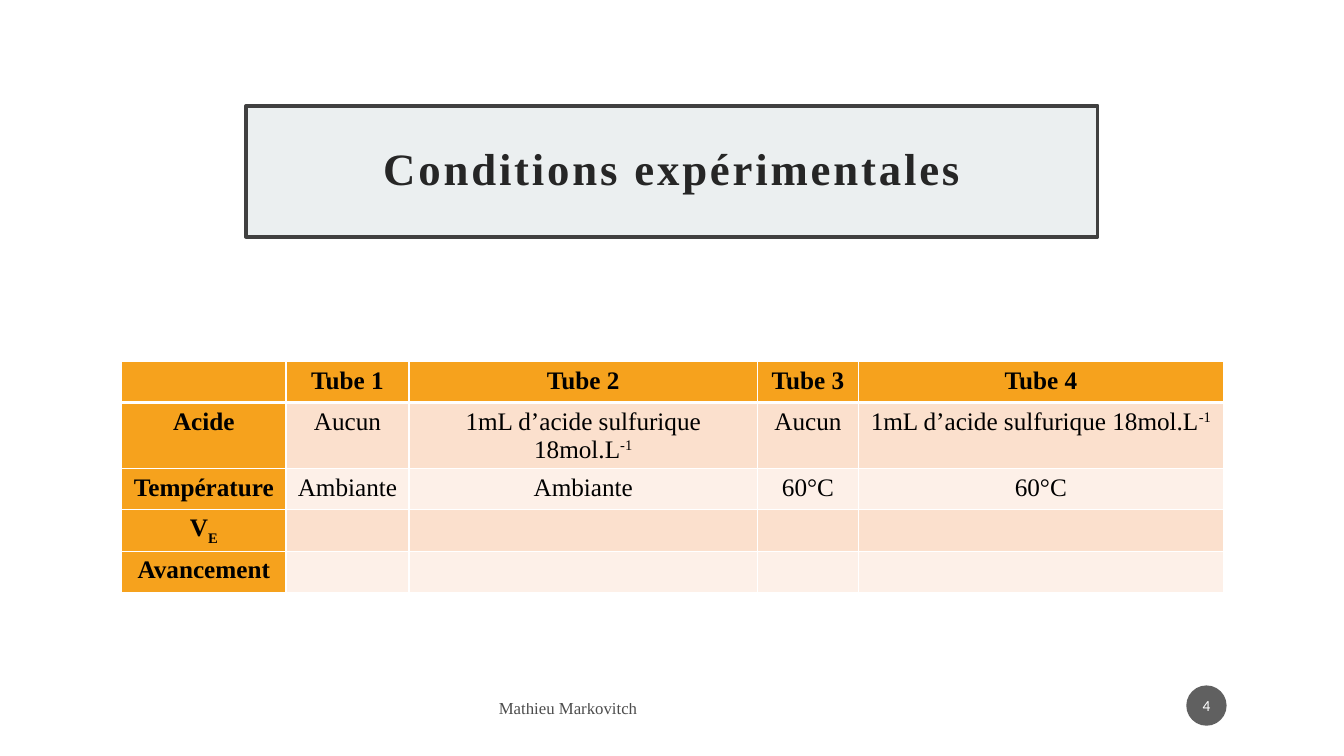
from lxml.etree import SubElement
from pptx import Presentation
from pptx.dml.color import RGBColor
from pptx.enum.shapes import MSO_SHAPE
from pptx.enum.text import MSO_ANCHOR, PP_ALIGN
from pptx.oxml.ns import qn
from pptx.util import Pt

# Content: a cell is a list of (text, baseline shift in percent) runs
TITLE = "Conditions expérimentales"
AUTHOR = "Mathieu Markovitch"
SLIDE_NUMBER = "4"
ACID = [("1mL d’acide sulfurique 18mol.L", 0), ("-1", 30)]
ROWS = [
    ["", "Tube 1", "Tube 2", "Tube 3", "Tube 4"],
    ["Acide", "Aucun", ACID, "Aucun", ACID],
    ["Température", "Ambiante", "Ambiante", "60°C", "60°C"],
    [[("V", 0), ("E", -25)], "", "", "", ""],
    ["Avancement", "", "", "", ""],
]

# Layout and style, in points
COLUMN_WIDTHS = [117.4, 87.8, 249.1, 72, 260.6]
ROW_HEIGHT = 29.2
SERIF = "Times New Roman"
HEADER_FILL = "F6A21D"
BAND_FILLS = ["FDF0E8", "FBE0CD"]


def color(value):
    return RGBColor.from_string(value)


def paint(shape, value):
    shape.fill.solid()
    shape.fill.fore_color.rgb = color(value)


def set_opacity(element, percent):
    for node in element.iter(qn("a:srgbClr")):
        SubElement(node, qn("a:alpha")).set("val", str(percent * 1000))


def add_run(paragraph, text, size, value, name=SERIF, bold=False):
    run = paragraph.add_run()
    run.text = text
    run.font.size = Pt(size)
    run.font.name = name
    run.font.bold = bold
    run.font.color.rgb = color(value)
    return run


def set_insets(frame, horizontal, vertical):
    frame.margin_left = frame.margin_right = Pt(horizontal)
    frame.margin_top = frame.margin_bottom = Pt(vertical)


def add_borders(cell, top, bottom):
    properties = cell._tc.get_or_add_tcPr()
    for side, width in (("L", 1), ("R", 1), ("T", top), ("B", bottom)):
        line = SubElement(properties, qn(f"a:ln{side}"), w=str(Pt(width)))
        fill = SubElement(line, qn("a:solidFill"))
        SubElement(fill, qn("a:srgbClr"), val="FFFFFF")


presentation = Presentation()
presentation.slide_width, presentation.slide_height = Pt(960), Pt(540)
slide = presentation.slides.add_slide(presentation.slide_layouts[5])

# Title
title = slide.shapes.title
title.left, title.top, title.width, title.height = Pt(175.7), Pt(75.6), Pt(608.4), Pt(93.6)
paint(title, "EBEFF0")
title.line.color.rgb = color("404040")
title.line.width = Pt(2.5)
frame = title.text_frame
frame.vertical_anchor = MSO_ANCHOR.MIDDLE
set_insets(frame, 14.4, 14.4)
paragraph = frame.paragraphs[0]
paragraph.alignment = PP_ALIGN.CENTER
paragraph.line_spacing = 0.9
run = add_run(paragraph, TITLE, 32, "262626", bold=True)
run._r.get_or_add_rPr().set("spc", "200")

# Table of conditions
table = slide.shapes.add_table(
    len(ROWS), len(COLUMN_WIDTHS), Pt(86.9), Pt(258.4),
    Pt(sum(COLUMN_WIDTHS)), Pt(ROW_HEIGHT * len(ROWS))).table
for column, width in zip(table.columns, COLUMN_WIDTHS):
    column.width = Pt(width)
for row_index, row in enumerate(ROWS):
    table.rows[row_index].height = Pt(ROW_HEIGHT)
    for column_index, content in enumerate(row):
        cell = table.cell(row_index, column_index)
        is_header = row_index == 0 or column_index == 0
        add_borders(cell, 3 if row_index == 1 else 1, 3 if row_index == 0 else 1)
        paint(cell, HEADER_FILL if is_header else BAND_FILLS[row_index % 2])
        paragraph = cell.text_frame.paragraphs[0]
        paragraph.alignment = PP_ALIGN.CENTER
        paragraph.font.size = Pt(18)
        runs = [(content, 0)] if isinstance(content, str) else content
        for text, shift in runs:
            if text:
                run = add_run(paragraph, text, 18, "000000", bold=is_header)
                if shift:
                    run._r.get_or_add_rPr().set("baseline", str(shift * 1000))

# Author
author = slide.shapes.add_textbox(Pt(349.2), Pt(493.2), Pt(123.8), Pt(25.2))
frame = author.text_frame
frame.word_wrap = True
frame.vertical_anchor = MSO_ANCHOR.MIDDLE
run = add_run(frame.paragraphs[0], AUTHOR, 12, "000000")
set_opacity(run._r, 70)

# Slide number badge
badge = slide.shapes.add_shape(MSO_SHAPE.OVAL, Pt(847.4), Pt(489.6), Pt(28.8), Pt(28.8))
badge.shadow.inherit = False
paint(badge, "1D1D1D")
set_opacity(badge._element.spPr, 70)
badge.line.fill.background()
frame = badge.text_frame
frame.vertical_anchor = MSO_ANCHOR.MIDDLE
set_insets(frame, 1.4, 3.6)
paragraph = frame.paragraphs[0]
paragraph.alignment = PP_ALIGN.CENTER
add_run(paragraph, SLIDE_NUMBER, 11, "FFFFFF", name="Calibri")

presentation.save("out.pptx")
